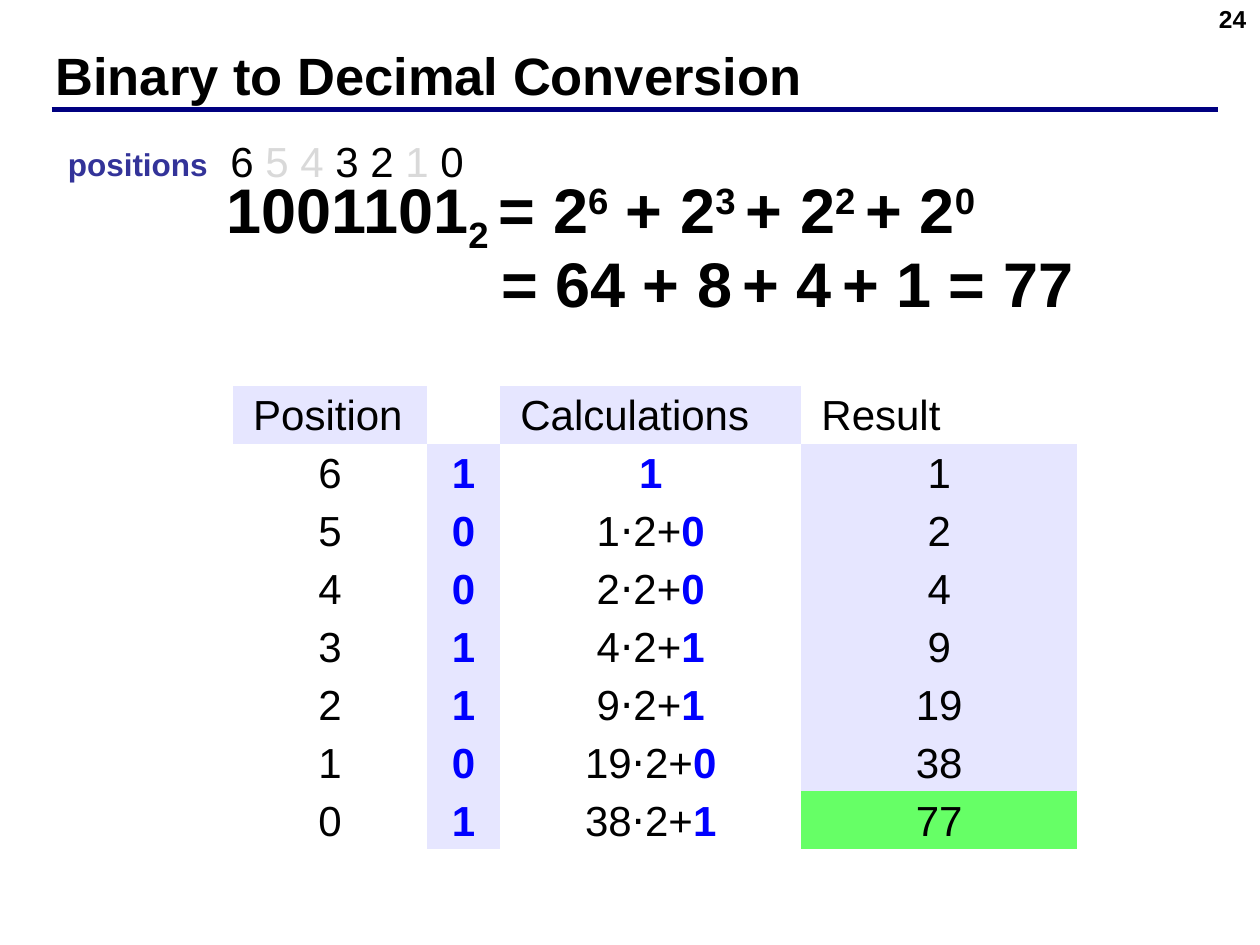
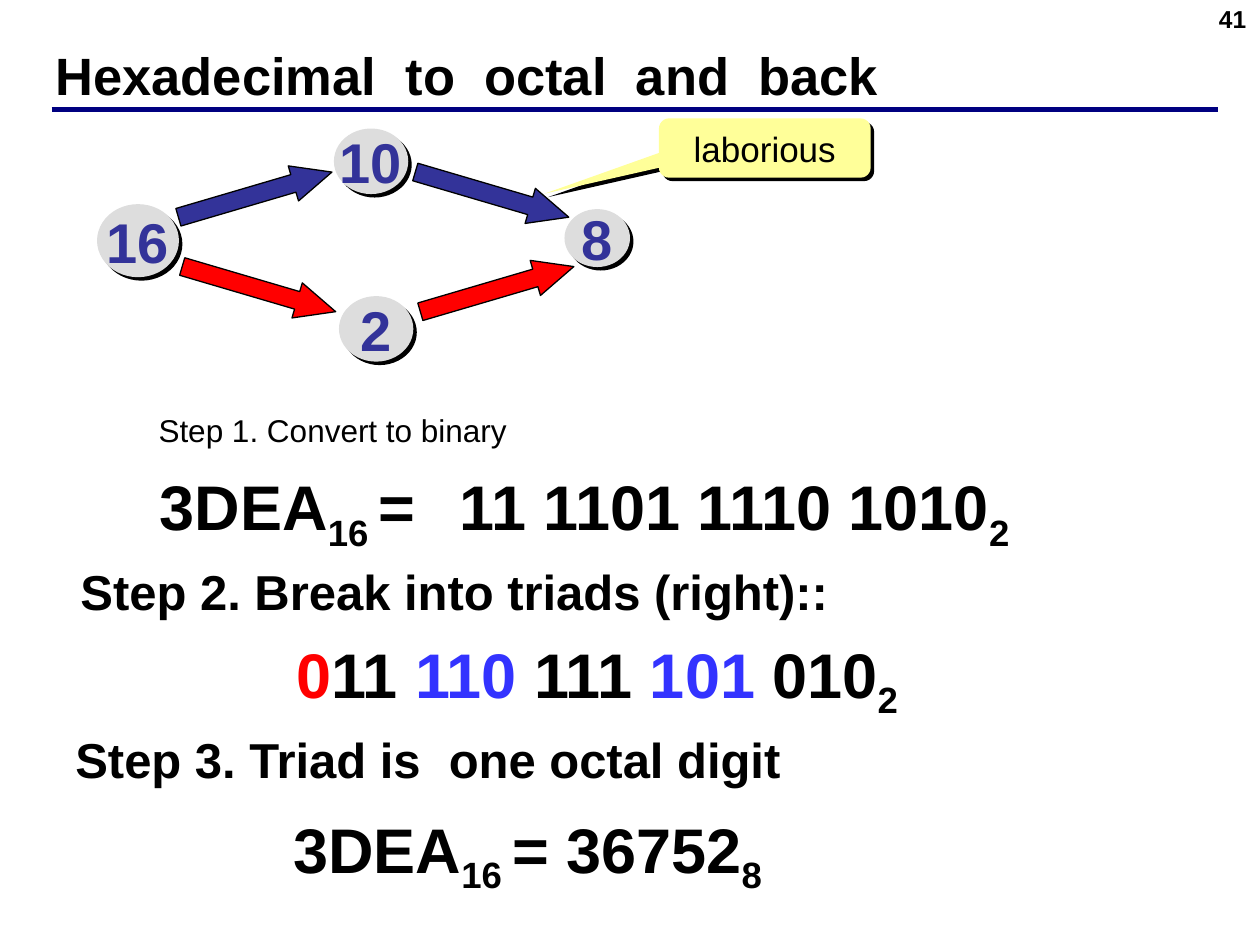
"""Build two slides on converting numbers between positional systems."""
from lxml import etree
from pptx import Presentation
from pptx import util as u
from pptx.dml.color import RGBColor
from pptx.enum import shapes, text
from pptx.oxml.ns import qn

PX = 9144
BLACK = RGBColor(0, 0, 0)
NAVY = RGBColor(0, 0, 0x80)
INDIGO = RGBColor(0x33, 0x33, 0x99)
BLUE = RGBColor(0, 0, 0xFF)
TRIAD_BLUE = RGBColor(0x33, 0x33, 0xFF)
RED = RGBColor(0xFF, 0, 0)
GREEN = RGBColor(0x66, 0xFF, 0x66)
LAVENDER = RGBColor(0xE6, 0xE6, 0xFF)
YELLOW = RGBColor(0xFF, 0xFF, 0x99)
GREY = RGBColor(0xDD, 0xDD, 0xDD)
PALE = RGBColor(0xD9, 0xD9, 0xD9)
LEFT, CENTER, RIGHT, JUSTIFY = (text.PP_ALIGN.LEFT, text.PP_ALIGN.CENTER,
                                text.PP_ALIGN.RIGHT, text.PP_ALIGN.JUSTIFY)
NO_STYLE = "{2D5ABB26-0587-4C30-8999-92F81FD0307C}"

BODY = {"name": "Arial", "size": u.Pt(24), "bold": False, "color": BLACK}
TITLE = {**BODY, "size": u.Pt(30), "bold": True}
NUMBER = {**TITLE, "size": u.Pt(14)}
FORMULA = {**TITLE, "size": u.Pt(36)}
STEP = {**TITLE, "size": u.Pt(28)}
SMALL = {**BODY, "size": u.Pt(18)}
POSITIONS = {**SMALL, "bold": True, "color": INDIGO}
NODE = {**TITLE, "size": u.Pt(32), "color": INDIGO}
CALLOUT = {**BODY, "size": u.Pt(20)}
BIT = {"bold": True, "color": BLUE}


def sub(content):
    """Return a subscript run."""
    return content, {"baseline": "-25000"}


def sup(content):
    """Return a superscript run."""
    return content, {"baseline": "30000"}


def tint(content, color):
    """Return a coloured run."""
    return content, {"color": color}


WIDE = (" ", {"spc": "830"})
TIGHT = {"margin_left": 2 * PX, "margin_right": 2 * PX, "margin_top": 0, "margin_bottom": 0}
GROW = {"auto_size": text.MSO_AUTO_SIZE.SHAPE_TO_FIT_TEXT, "word_wrap": True}
LINE = {**GROW, "word_wrap": False}

BINARY_TITLE = ["Binary to Decimal Conversion"]
BINARY_LABELS = [
    ((170, 130, 638, 71), FORMULA, GROW,
     ["1001101", sub("2 "), "= 2", sup("6"), " + 2", sup("3 "), "+ 2", sup("2 "), "+ 2", sup("0")]),
    ((173, 103, 207, 51), BODY, LINE,
     ["6 ", tint("5 4 ", PALE), "3 2 ", tint("1", PALE), " 0"]),
    ((44, 110, 132, 40), POSITIONS, LINE, ["positions"]),
    ((388, 189, 485, 71), FORMULA, GROW,
     ["= 64 + 8", sup(" "), "+ 4", sup(" "), "+ 1 = 77"]),
]
BITS = "1001101"
HEADERS = ["Position", "", "Calculations", "Result"]
COLUMNS = [154, 58, 239, 219]
TABLE_AT = (185, 306)
ROW = 46

OCTAL_TITLE = ["Hexadecimal", WIDE, "to", WIDE, "octal", WIDE, "and", WIDE, "back"]
OCTAL_LABELS = [
    ((117, 366, 229, 70), FORMULA, LINE, ["3DEA", sub("16 "), "="]),
    ((363, 371, 474, 60), FORMULA, {**GROW, **TIGHT}, ["11 1101 1110 1010", sub("2")]),
    ((54, 441, 621, 57), STEP, LINE, ["Step 2. Break into triads (right)::"]),
    ((50, 574, 586, 57), STEP, LINE, ["Step 3. Triad is", WIDE, "one octal digit"]),
    ((233, 504, 510, 60), FORMULA, {**GROW, **TIGHT},
     [tint("0", RED), "11 ", tint("110 ", TRIAD_BLUE), "111 ", tint("101 ", TRIAD_BLUE),
      "010", sub("2")]),
    ((223, 638, 400, 70), FORMULA, LINE, ["3DEA", sub("16 "), "= 36752", sub("8")]),
    ((116, 321, 451, 40), SMALL, GROW, ["Step 1. Convert to binary"]),
]
BASES = [("16", (77, 162, 65, 58)), ("10", (265, 102, 59, 52)),
         ("8", (448, 166, 52, 46)), ("2", (269, 235, 59, 52))]
TILT = 73.6
ARROWS = [((188, 91), TILT, INDIGO), ((376, 91), 180 - TILT, INDIGO),
          ((191, 166), 180 - TILT, RED), ((380, 166), TILT, RED)]


def px(*lengths):
    """Turn px into EMU."""
    return [length * PX for length in lengths]


def apply(target, values):
    """Set each attribute given in values."""
    for key, value in values.items():
        setattr(target, key, value)


def write(frame, runs, style, align=LEFT):
    """Fill the first paragraph of a frame with formatted runs."""
    paragraph = frame.paragraphs[0]
    paragraph.alignment = align
    for part in runs:
        content, extra = (part, {}) if isinstance(part, str) else part
        run = paragraph.add_run()
        run.text = content
        for key, value in {**style, **extra}.items():
            if key == "color":
                run.font.color.rgb = value
            elif key in ("baseline", "spc"):
                run.font._element.set(key, value)
            else:
                setattr(run.font, key, value)


def add_label(slide, at, style, frame_values, runs, align=LEFT):
    """Add a text box."""
    frame = slide.shapes.add_textbox(*px(*at)).text_frame
    apply(frame, frame_values)
    write(frame, runs, style, align)


def add_figure(slide, kind, at, fill):
    """Add a plain filled shape."""
    figure = slide.shapes.add_shape(kind, *px(*at))
    figure.shadow.inherit = False
    figure.fill.solid()
    figure.fill.fore_color.rgb = fill
    figure.line.fill.background()
    return figure


def cast_shadow(figure):
    """Give a shape a hard black shadow to the lower right."""
    effects = figure._element.spPr.find(qn("a:effectLst"))
    shadow = etree.SubElement(effects, qn("a:outerShdw"), blurRad="0", dist="35921",
                              dir="2700000", algn="ctr", rotWithShape="0")
    etree.SubElement(shadow, qn("a:srgbClr"), val=str(BLACK))


def start_slide(deck, title_runs, number, labels):
    """Add a slide with title, rule, number and labels."""
    slide = deck.slides.add_slide(deck.slide_layouts[5])
    rule = slide.shapes.add_connector(shapes.MSO_CONNECTOR.STRAIGHT, *px(41, 87, 967, 87))
    rule.line.color.rgb = NAVY
    rule.line.width = u.Pt(3)
    etree.SubElement(rule._element.spPr, qn("a:effectLst"))
    title = slide.shapes.title
    apply(title, dict(zip(("left", "top", "width", "height"), px(34, 33, 916, 52))))
    apply(title.text_frame, {"vertical_anchor": text.MSO_ANCHOR.MIDDLE, "word_wrap": True,
                             "auto_size": text.MSO_AUTO_SIZE.NONE})
    write(title.text_frame, title_runs, TITLE)
    add_label(slide, (766, -2, 233, 52), NUMBER, {"word_wrap": True}, [number], RIGHT)
    for label in labels:
        add_label(slide, *label)
    return slide


def horner_rows(bits):
    """Work out position, bit, calculation and result for each bit."""
    total = 0
    for index, bit in enumerate(bits):
        calculation = [f"{total}⋅2+", (bit, BIT)] if index else [(bit, BIT)]
        total = total * 2 + int(bit)
        yield [[str(len(bits) - 1 - index)], [(bit, BIT)], calculation, [str(total)]]


def add_horner_table(slide):
    """Add the table of step by step calculations."""
    rows = [[[header] if header else [] for header in HEADERS], *horner_rows(BITS)]
    size = (sum(COLUMNS), ROW * len(rows))
    table = slide.shapes.add_table(len(rows), len(COLUMNS), *px(*TABLE_AT, *size)).table
    apply(table, {"first_row": False, "horz_banding": False})
    table._tbl.tblPr.find(qn("a:tableStyleId")).text = NO_STYLE
    for column, width in zip(table.columns, COLUMNS):
        column.width = width * PX
    for r, row in enumerate(rows):
        table.rows[r].height = ROW * PX
        for c, runs in enumerate(row):
            cell = table.cell(r, c)
            apply(cell, {"margin_left": 16 * PX, "margin_right": 16 * PX,
                         "margin_top": 0, "margin_bottom": 0})
            write(cell.text_frame, runs, BODY, CENTER if r else JUSTIFY)
            cell.text_frame.paragraphs[0].line_spacing = 1.15
            if (r == 0) == (c % 2 == 0):
                cell.fill.solid()
                cell.fill.fore_color.rgb = LAVENDER
            else:
                cell.fill.background()
    result = table.cell(len(rows) - 1, len(COLUMNS) - 1)
    result.fill.fore_color.rgb = GREEN


def add_routes(slide):
    """Add the bases, the arrows between them and the callout."""
    callout = add_figure(slide, shapes.MSO_SHAPE.ROUNDED_RECTANGULAR_CALLOUT,
                         (523, 94, 168, 47), YELLOW)
    for index, value in enumerate((-1.04, 0.77, 0.17)):
        callout.adjustments[index] = value
    cast_shadow(callout)
    callout.text_frame.vertical_anchor = text.MSO_ANCHOR.TOP
    write(callout.text_frame, ["laborious"], CALLOUT, CENTER)
    for base, at in BASES:
        node = add_figure(slide, shapes.MSO_SHAPE.OVAL, at, GREY)
        cast_shadow(node)
        apply(node.text_frame, {"word_wrap": False, "vertical_anchor": text.MSO_ANCHOR.MIDDLE})
        write(node.text_frame, [base], NODE, CENTER)
    for corner, angle, color in ARROWS:
        arrow = add_figure(slide, shapes.MSO_SHAPE.UP_ARROW, (*corner, 29, 127), color)
        arrow.rotation = angle
        arrow.adjustments[1] = 1.1
        arrow.line.color.rgb = BLACK
        arrow.line.width = u.Pt(0.75)


def main():
    """Build and save the deck."""
    deck = Presentation()
    deck.slide_width, deck.slide_height = px(1000, 750)
    add_horner_table(start_slide(deck, BINARY_TITLE, "24", BINARY_LABELS))
    add_routes(start_slide(deck, OCTAL_TITLE, "41", OCTAL_LABELS))
    deck.save("out.pptx")


if __name__ == "__main__":
    main()
